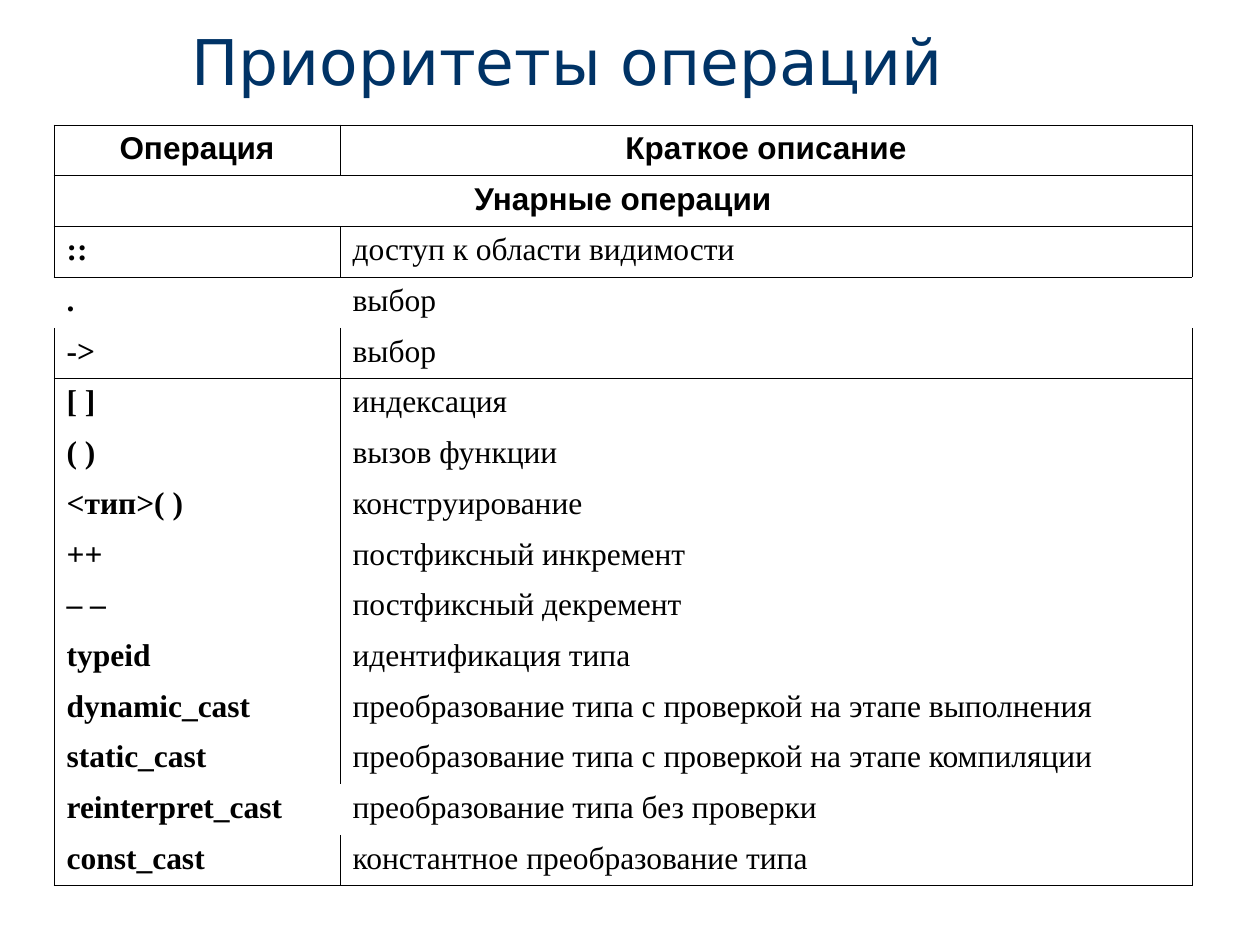
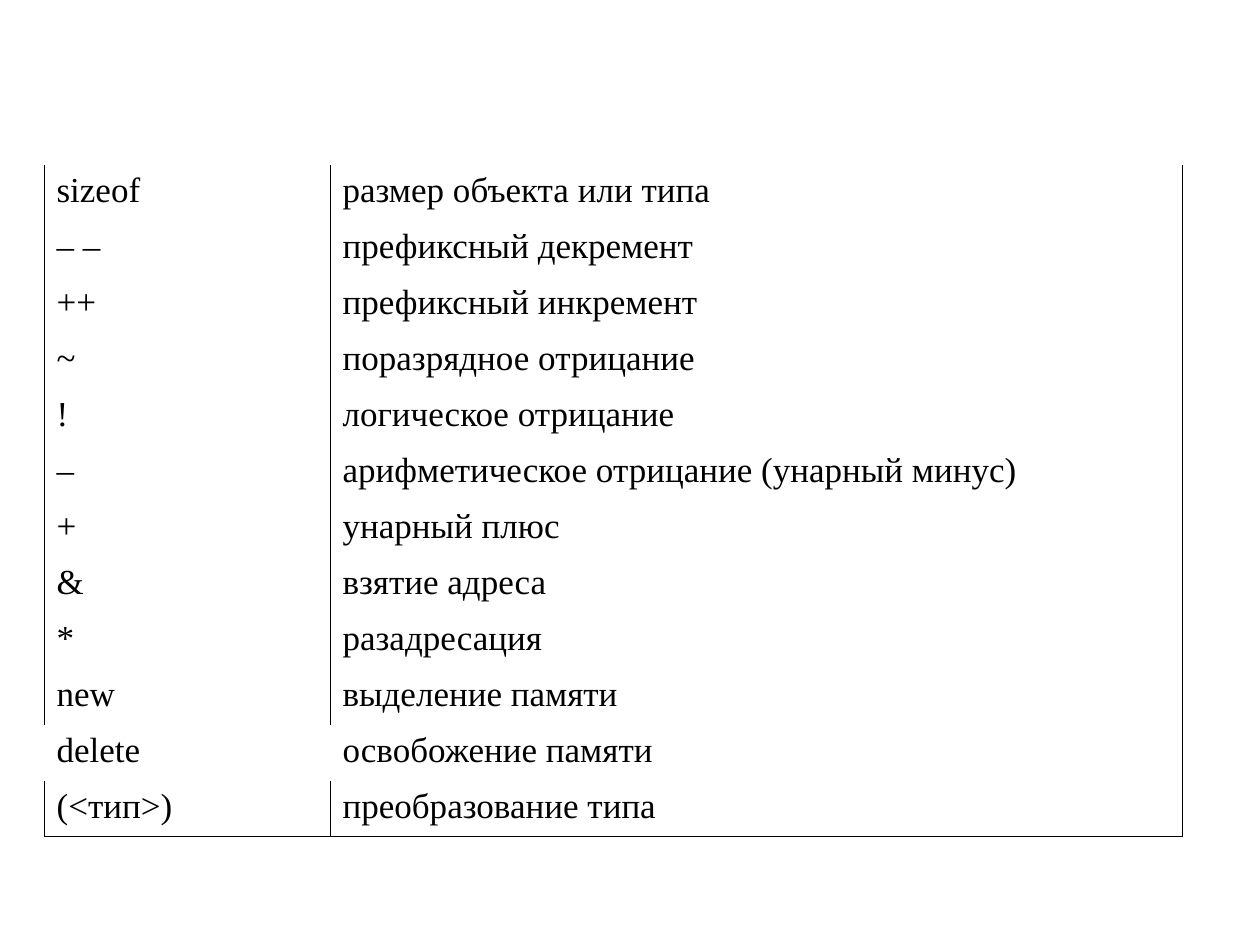
from lxml.etree import SubElement
from pptx import Presentation
from pptx.dml.color import RGBColor
from pptx.enum.text import MSO_ANCHOR, PP_ALIGN
from pptx.oxml.ns import qn
from pptx.util import Pt

PX = 914400 / 126
COLORS = {"title": "003366", "ink": "000000"}
FONTS = {"title": "DejaVu Sans", "head": "Arial", "body": "Times New Roman"}
TITLE = "Приоритеты операций"
COLS = (286, 852)
LINE = 5715
SIDES = {"l": "a:lnL", "r": "a:lnR", "t": "a:lnT", "b": "a:lnB"}
OPEN = ("lr", "lr")
BOX = ("lrtb", "lrtb")
FOOT = ("lrb", "lrb")

# "edges" gives the drawn sides of both cells for rows that differ from OPEN.
POSTFIX = {
    "at": (54, 125), "high": 761, "size": 18, "bold": True, "heads": 2,
    "rows": [
        ("Операция", "Краткое описание"),
        ("Унарные операции",),
        ("::", "доступ к области видимости"),
        (".", "выбор"),
        ("->", "выбор"),
        ("[ ]", "индексация"),
        ("( )", "вызов функции"),
        ("<тип>( )", "конструирование"),
        ("++", "постфиксный инкремент"),
        ("– –", "постфиксный декремент"),
        ("typeid", "идентификация типа"),
        ("dynamic_cast", "преобразование типа с проверкой на этапе выполнения"),
        ("static_cast", "преобразование типа с проверкой на этапе компиляции"),
        ("reinterpret_cast", "преобразование типа без проверки"),
        ("const_cast", "константное преобразование типа"),
    ],
    "edges": {0: BOX, 1: BOX, 2: BOX, 3: ("t", "t"), 4: FOOT,
              5: ("lrt", "lrt"), 13: ("l", "r"), 14: FOOT},
}
PREFIX = {
    "at": (44, 165), "high": 672, "size": 20, "bold": False, "heads": 0,
    "rows": [
        ("sizeof", "размер объекта или типа"),
        ("– –", "префиксный декремент"),
        ("++", "префиксный инкремент"),
        ("~", "поразрядное отрицание"),
        ("!", "логическое отрицание"),
        ("–", "арифметическое отрицание (унарный минус)"),
        ("+", "унарный плюс"),
        ("&", "взятие адреса"),
        ("*", "разадресация"),
        ("new", "выделение памяти"),
        ("delete", "освобожение памяти"),
        ("(<тип>)", "преобразование типа"),
    ],
    "edges": {10: ("", "r"), 11: FOOT},
}


def px(*sizes):
    return [round(size * PX) for size in sizes]


def write(frame, text, font, size, color, align, bold=False):
    para = frame.paragraphs[0]
    para.alignment = align
    run = para.add_run()
    run.text = text
    run.font.name = FONTS[font]
    run.font.size = Pt(size)
    run.font.bold = bold
    run.font.color.rgb = RGBColor.from_string(COLORS[color])


def frame_cell(cell, drawn):
    """Clear the fill and draw only the named sides."""
    cell.fill.background()
    props = cell._tc.get_or_add_tcPr()
    for spot, (side, tag) in enumerate(SIDES.items()):
        line = SubElement(props, qn(tag), w=str(LINE))
        if side in drawn:
            fill = SubElement(line, qn("a:solidFill"))
            SubElement(fill, qn("a:srgbClr"), val=COLORS["ink"])
        else:
            SubElement(line, qn("a:noFill"))
        props.insert(spot, line)


def add_grid(slide, data):
    rows = data["rows"]
    shape = slide.shapes.add_table(
        len(rows), len(COLS), *px(*data["at"], sum(COLS), data["high"]))
    table = shape.table
    table.first_row = table.horz_banding = False
    for col, wide in zip(table.columns, px(*COLS)):
        col.width = wide
    for row in table.rows:
        row.height = px(data["high"] / len(rows))[0]
    for r, texts in enumerate(rows):
        head = r < data["heads"]
        for c, drawn in enumerate(data["edges"].get(r, OPEN)):
            frame_cell(table.cell(r, c), drawn)
        if len(texts) == 1:
            table.cell(r, 0).merge(table.cell(r, 1))
        for c, text in enumerate(texts):
            write(table.cell(r, c).text_frame, text,
                  "head" if head else "body", data["size"], "ink",
                  PP_ALIGN.CENTER if head else PP_ALIGN.JUSTIFY,
                  head or (data["bold"] and c == 0))


def add_title(slide, text):
    title = slide.shapes.title
    title.left, title.top, title.width, title.height = px(179, 16, 1125, 88)
    title.text_frame.vertical_anchor = MSO_ANCHOR.BOTTOM
    write(title.text_frame, text, "title", 36, "title", PP_ALIGN.LEFT)


def main():
    deck = Presentation()
    deck.slide_width, deck.slide_height = px(1260, 945)
    first = deck.slides.add_slide(deck.slide_layouts[5])
    add_title(first, TITLE)
    add_grid(first, POSTFIX)
    second = deck.slides.add_slide(deck.slide_layouts[6])
    add_grid(second, PREFIX)
    deck.save("out.pptx")


if __name__ == "__main__":
    main()
